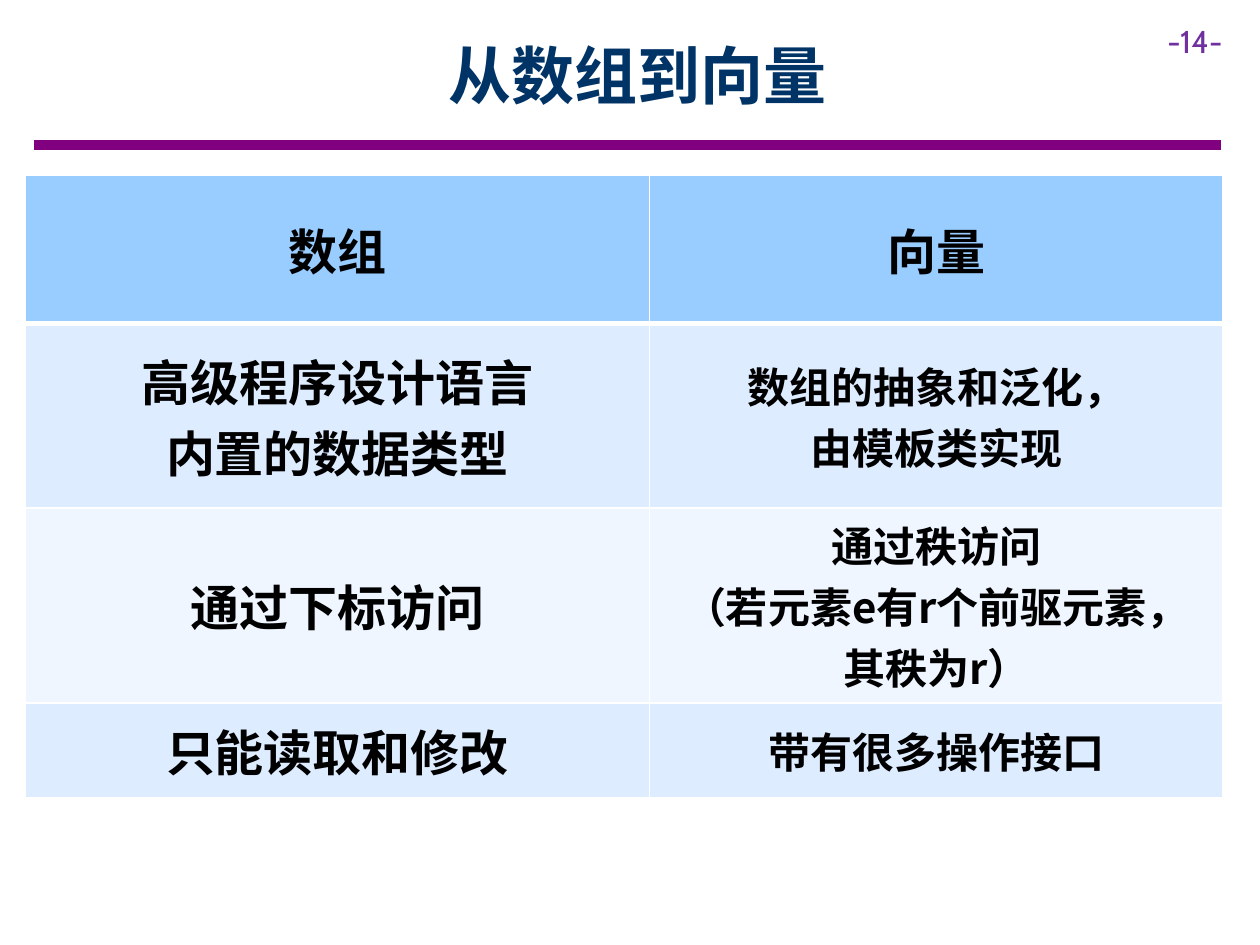
"""Build the slide comparing arrays with vectors."""
from lxml import etree
from pptx import Presentation
from pptx.dml.color import RGBColor
from pptx.enum import shapes, text
from pptx.oxml import parse_xml
from pptx.oxml.ns import nsdecls, qn
from pptx.util import Pt

NAVY = RGBColor(0x00, 0x33, 0x66)
PURPLE = RGBColor(0x80, 0x00, 0x80)
VIOLET = RGBColor(0x70, 0x30, 0xA0)
BLACK = RGBColor(0x00, 0x00, 0x00)
HEADER_BLUE = RGBColor(0x99, 0xCC, 0xFF)
BAND_BLUE = RGBColor(0xDE, 0xEC, 0xFF)
BAND_PALE = RGBColor(0xEF, 0xF6, 0xFF)
CJK = "Noto Sans CJK SC"


def write(frame, lines, color, **formats):
    frame.text = "\n".join(lines)
    for paragraph in frame.paragraphs:
        paragraph.alignment = text.PP_ALIGN.CENTER
        for run in paragraph.runs:
            for key, value in formats.items():
                setattr(run.font, key, value)
            run.font.color.rgb = color
            etree.SubElement(run.font._element, qn("a:ea"), typeface=formats["name"])


deck = Presentation()
deck.slide_width, deck.slide_height = Pt(720), Pt(540)
slide = deck.slides.add_slide(deck.slide_layouts[5])

rule = slide.shapes.add_connector(
    shapes.MSO_CONNECTOR.STRAIGHT, Pt(19.5), Pt(82.8), Pt(698), Pt(82.8))
rule.line.color.rgb = PURPLE
rule.line.width = Pt(6)
etree.SubElement(rule._element.spPr, qn("a:effectLst"))

page = slide.shapes.add_textbox(Pt(660), Pt(9), Pt(60), Pt(29))
page.text_frame.word_wrap = True
write(page.text_frame, ["-14-"], VIOLET, name="Cabin", size=Pt(18))
page.text_frame.paragraphs[0].alignment = text.PP_ALIGN.LEFT

title = slide.shapes.title
title.left, title.top, title.width, title.height = Pt(65), Pt(6.5), Pt(598.5), Pt(72)
title.text_frame.vertical_anchor = text.MSO_ANCHOR.MIDDLE
write(title.text_frame, ["从数组到向量"], NAVY, name=CJK, size=Pt(36), bold=True)

comparison = [
    (84.5, HEADER_BLUE, ["数组"], ["向量"]),
    (105.5, BAND_BLUE, ["高级程序设计语言", "内置的数据类型"], ["数组的抽象和泛化，", "由模板类实现"]),
    (111.5, BAND_PALE, ["通过下标访问"], ["通过秩访问", "（若元素e有r个前驱元素，", "其秩为r）"]),
    (54, BAND_BLUE, ["只能读取和修改"], ["带有很多操作接口"]),
]
table_height = sum(height for height, *_ in comparison)
table = slide.shapes.add_table(
    len(comparison), 2, Pt(14.2), Pt(100.2), Pt(684.7), Pt(table_height)).table
table.columns[0].width, table.columns[1].width = Pt(357.1), Pt(327.6)

for row, (height, fill, *entries) in enumerate(comparison):
    table.rows[row].height = Pt(height)
    for column, lines in enumerate(entries):
        cell = table.cell(row, column)
        cell.vertical_anchor = text.MSO_ANCHOR.MIDDLE
        for side in "LRTB":
            heavy = (row, side) in [(0, "B"), (1, "T")]
            cell._tc.get_or_add_tcPr().append(parse_xml(
                f'<a:ln{side} {nsdecls("a")} w="{Pt(3 if heavy else 1)}"><a:solidFill>'
                f'<a:srgbClr val="FFFFFF"/></a:solidFill></a:ln{side}>'))
        cell.fill.solid()
        cell.fill.fore_color.rgb = fill
        size = Pt(24 if row and column else 28)
        write(cell.text_frame, lines, BLACK, name=CJK, size=size, bold=True)

deck.save("out.pptx")
